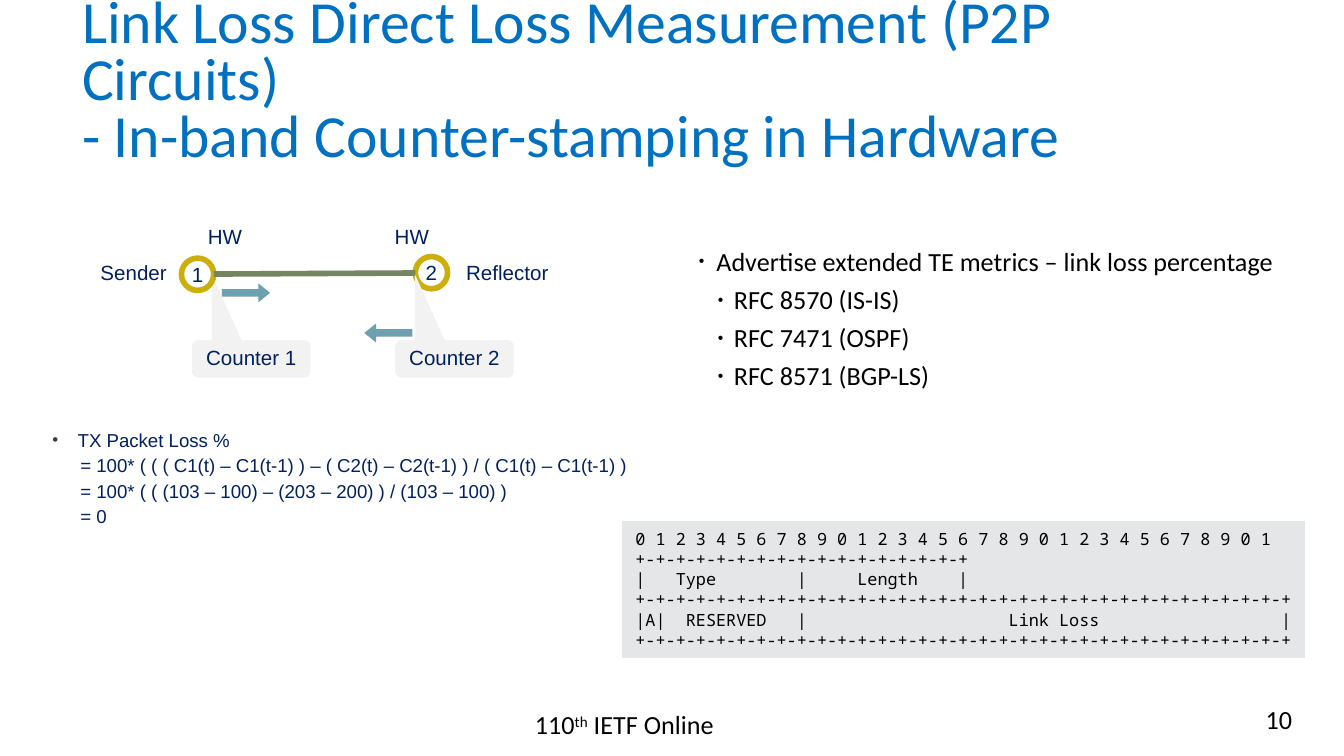
from dataclasses import dataclass

from lxml import etree
from pptx import Presentation
from pptx import util as u
from pptx.dml.color import RGBColor
from pptx.enum import shapes, text
from pptx.oxml.ns import qn


@dataclass(frozen=True)
class Theme:
    title: str = "0070C0"
    navy: str = "002060"
    black: str = "000000"
    bullet: str = "3B3B3B"
    node: str = "CCAF0A"
    link: str = "748560"
    arrow: str = "6EA0B0"
    callout: str = "F2F2F2"
    code: str = "E5E6E8"
    sans: str = "Arial"
    body: str = "Calibri"
    mono: str = "Noto Sans Mono"
    title_size: float = 32
    body_size: float = 14
    label_size: float = 11
    formula_size: float = 10
    code_size: float = 9


THEME = Theme()
LABEL = (THEME.sans, THEME.label_size, THEME.navy)
BODY = (THEME.body, THEME.body_size, THEME.black)
RULE = "+-" * 32 + "+"
HEADER = [
    " ".join(str(bit % 10) for bit in range(32)),
    "+-" * 16 + "+",
    "|   Type        |     Length    |",
    RULE,
    "|A|  RESERVED   |                    Link Loss                  |",
    RULE,
]


def set_values(target, values):
    for name, value in values.items():
        setattr(target, name, value)


def cm(*lengths):
    return [u.Cm(length) for length in lengths]


def add_run(paragraph, words, style):
    family, size, color = style
    run = paragraph.add_run()
    run.text = words
    set_values(run.font, {"name": family, "size": u.Pt(size)})
    run.font.color.rgb = RGBColor.from_string(color)
    return run


def setup_frame(shape, margins=(0.25, 0.13, 0.25, 0.13), wrap=True,
                anchor=text.MSO_ANCHOR.TOP):
    left, top, right, bottom = cm(*margins)
    set_values(shape.text_frame, {
        "margin_left": left, "margin_top": top,
        "margin_right": right, "margin_bottom": bottom,
        "word_wrap": wrap, "vertical_anchor": anchor,
        "auto_size": text.MSO_AUTO_SIZE.NONE,
    })


def write_lines(shape, lines, style, **values):
    frame = shape.text_frame
    paragraphs = []
    for index, line in enumerate(lines):
        paragraph = frame.add_paragraph() if index else frame.paragraphs[0]
        set_values(paragraph, {"alignment": text.PP_ALIGN.LEFT, **values})
        add_run(paragraph, line, style)
        paragraphs.append(paragraph)
    return paragraphs


def indent(paragraph, left, first=0):
    properties = paragraph._p.get_or_add_pPr()
    properties.set("marL", str(u.Cm(left)))
    properties.set("indent", str(u.Cm(first)))


def add_bullet(paragraph, color, percent):
    properties = paragraph._p.get_or_add_pPr()
    bullet_color = etree.SubElement(properties, qn("a:buClr"))
    etree.SubElement(bullet_color, qn("a:srgbClr"), val=color)
    etree.SubElement(properties, qn("a:buSzPct"), val=str(percent * 1000))
    etree.SubElement(properties, qn("a:buFont"), typeface=THEME.sans)
    etree.SubElement(properties, qn("a:buChar"), char="•")


def add_shape(slide, kind, box, fill=None, line=None, line_width=0.75):
    shape = slide.shapes.add_shape(kind, *cm(*box))
    shape.shadow.inherit = False
    for paint, color in ((shape.fill, fill), (shape.line.fill, line)):
        if color:
            paint.solid()
            paint.fore_color.rgb = RGBColor.from_string(color)
        else:
            paint.background()
    if line:
        shape.line.width = u.Pt(line_width)
    return shape


def add_title(slide, box):
    title = slide.shapes.title
    set_values(title, dict(zip(("left", "top", "width", "height"), cm(*box))))
    setup_frame(title, anchor=text.MSO_ANCHOR.MIDDLE)
    lines = ["Link Loss Direct Loss Measurement (P2P Circuits)",
             "- In-band Counter-stamping in Hardware"]
    write_lines(title, lines, (THEME.body, THEME.title_size, THEME.title),
                line_spacing=0.8, space_before=u.Pt(0))


def add_diagram(slide, left, top):
    kinds = shapes.MSO_SHAPE
    centered = {"alignment": text.PP_ALIGN.CENTER}

    def callout(x, words):
        shape = add_shape(slide, kinds.ROUNDED_RECTANGULAR_CALLOUT,
                          (left + x, top + 2.32, 2.24, 0.71), THEME.callout)
        for index, value in enumerate((-0.333, -2.252, 0.167)):
            shape.adjustments[index] = value
        setup_frame(shape, (0.23, 0.1, 0.23, 0.1), False, text.MSO_ANCHOR.MIDDLE)
        write_lines(shape, [words], LABEL, line_spacing=0.9, **centered)

    def arrow(x, y, rotation):
        shape = add_shape(slide, kinds.DOWN_ARROW,
                          (left + x, top + y, 0.36, 0.91), THEME.arrow)
        shape.rotation = rotation
        shape.adjustments[0], shape.adjustments[1] = 0.392, 0.615

    callout(1.93, "Counter 1")

    # Routers
    for x, y, number in ((6.15, 0.74, "2"), (1.73, 0.77, "1")):
        node = add_shape(slide, kinds.OVAL, (left + x, top + y, 0.61, 0.61),
                         line=THEME.node, line_width=3)
        setup_frame(node, (0, 0, 0, 0), anchor=text.MSO_ANCHOR.MIDDLE)
        write_lines(node, [number], LABEL, **centered)

    # Link between the routers
    link = slide.shapes.add_connector(
        shapes.MSO_CONNECTOR.STRAIGHT,
        *cm(left + 2.34, top + 1.07, left + 6.15, top + 1.05))
    link.line.color.rgb = RGBColor.from_string(THEME.link)
    link.line.width = u.Pt(3)
    etree.SubElement(link._element.spPr, qn("a:effectLst"))

    callout(5.77, "Counter 2")
    arrow(2.77, 0.97, 270)
    arrow(5.46, 1.73, 90)

    # Labels
    for x, y, width, words in ((2.03, 0, 1.07, "HW"), (5.56, 0, 1.07, "HW"),
                               (0, 0.67, 1.68, "Sender"),
                               (6.91, 0.67, 1.98, "Reflector")):
        label = slide.shapes.add_textbox(*cm(left + x, top + y, width, 0.74))
        setup_frame(label, (0.2, 0.13, 0.2, 0.13), wrap=False)
        write_lines(label, [words], LABEL)


def add_formula(slide, box):
    shape = slide.shapes.add_textbox(*cm(*box))
    setup_frame(shape)
    lines = ["TX Packet Loss %",
             "= 100* ( ( ( C1(t) – C1(t-1) ) – ( C2(t) – C2(t-1) ) / ( C1(t) – C1(t-1) )",
             "= 100* ( ( (103 – 100) – (203 – 200) ) / (103 – 100) )",
             "= 0"]
    heading, *steps = write_lines(
        shape, lines, (THEME.sans, THEME.formula_size, THEME.navy),
        line_spacing=u.Pt(13.6))
    indent(heading, 0.48, -0.48)
    add_bullet(heading, THEME.bullet, 90)
    for step in steps:
        step.level = 1
        indent(step, 0.53)


def add_metrics(slide, box):
    shape = slide.shapes.add_textbox(*cm(*box))
    setup_frame(shape, (0, 0.13, 0, 0.13))
    lines = ["Advertise extended TE metrics – link loss percentage",
             "RFC 8570 (IS-IS)", "RFC 7471 (OSPF)", "RFC 8571 (BGP-LS)"]
    heading, *documents = write_lines(shape, lines, BODY, line_spacing=0.95)
    indent(heading, 0.48, -0.33)
    for document in documents:
        set_values(document, {"level": 1, "space_before": u.Pt(4.5)})
        indent(document, 0.81, -0.3)
    for paragraph in (heading, *documents):
        add_bullet(paragraph, THEME.black, 60)


def add_packet_header(slide, box):
    shape = add_shape(slide, shapes.MSO_SHAPE.RECTANGLE, box, THEME.code, THEME.code)
    setup_frame(shape, (0.25, 0.13, 0.1, 0.13))
    write_lines(shape, HEADER, (THEME.mono, THEME.code_size, THEME.black))


def add_footer(slide, event_box, number_box):
    event = slide.shapes.add_textbox(*cm(*event_box))
    setup_frame(event, (0, 0.13, 0, 0.13))
    paragraph = write_lines(event, ["110"], BODY, line_spacing=0.95)[0]
    indent(paragraph, 0.15)
    ordinal = add_run(paragraph, "th", BODY)
    ordinal._r.get_or_add_rPr().set("baseline", "30000")
    add_run(paragraph, " IETF Online", BODY)

    number = slide.shapes.add_textbox(*cm(*number_box))
    setup_frame(number)
    write_lines(number, ["10"], BODY, alignment=text.PP_ALIGN.RIGHT)


def main():
    presentation = Presentation()
    set_values(presentation, {"slide_width": u.Cm(25.4), "slide_height": u.Cm(14.29)})
    slide = presentation.slides.add_slide(presentation.slide_layouts[5])
    add_title(slide, (1.3, 0.56, 22.83, 2.03))
    add_formula(slide, (0.74, 7.92, 11.71, 2.92))
    add_diagram(slide, 1.7, 4.11)
    add_metrics(slide, (13.06, 4.55, 11.63, 3.28))
    add_packet_header(slide, (11.76, 9.86, 12.9, 2.57))
    add_footer(slide, (9.96, 13.31, 4.45, 0.98), (18.75, 13.16, 5.92, 0.99))
    presentation.save("out.pptx")


if __name__ == "__main__":
    main()
